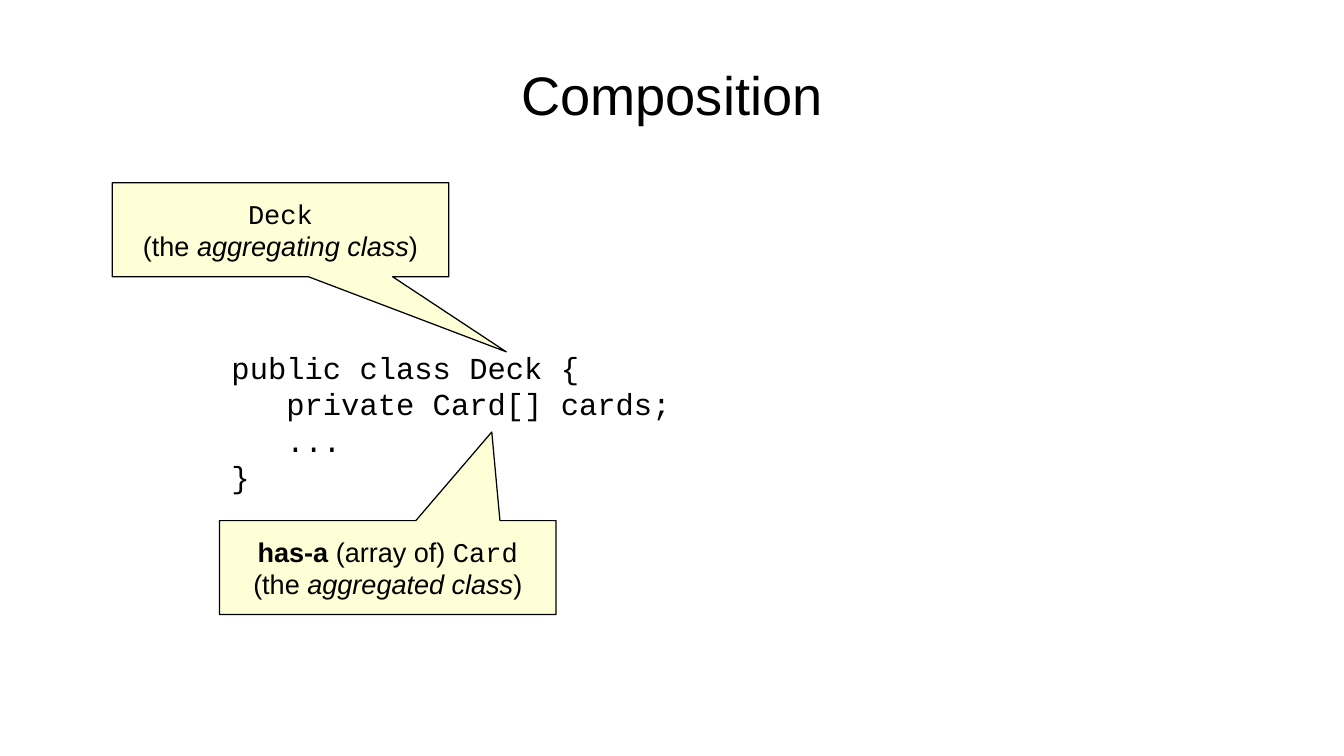
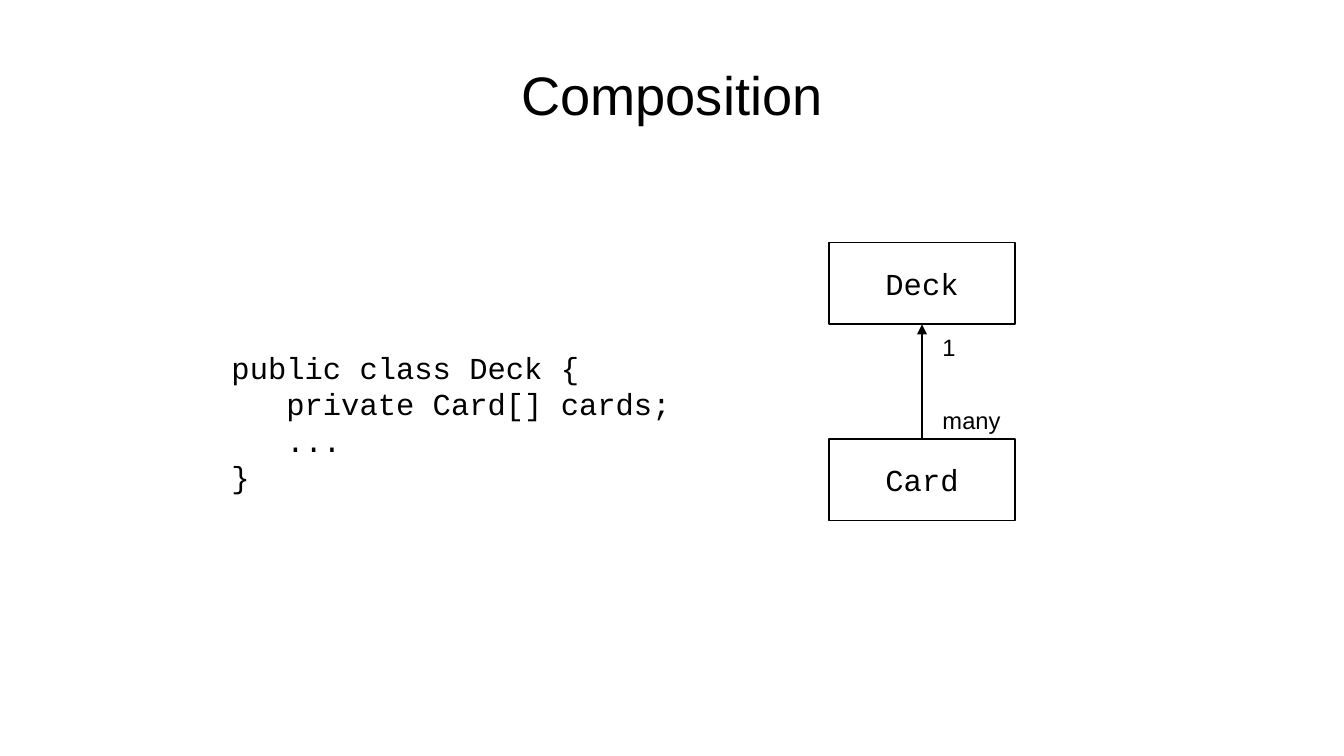
from dataclasses import dataclass

from lxml.etree import SubElement
from pptx import Presentation
from pptx.dml.color import RGBColor
from pptx.enum.shapes import MSO_CONNECTOR, MSO_SHAPE
from pptx.enum.text import MSO_ANCHOR, PP_ALIGN
from pptx.oxml.ns import qn
from pptx.util import Inches, Pt


@dataclass(frozen=True)
class Theme:
    ink: RGBColor = RGBColor(0, 0, 0)
    paper: RGBColor = RGBColor(255, 255, 255)
    note: RGBColor = RGBColor(0xFF, 0xFF, 0xD7)
    sans: str = "Arial"
    mono: str = "Courier New"
    title_size: int = 32
    code_size: int = 18
    note_size: int = 16
    label_size: int = 14
    hairline: int = 0
    outline: int = 1


THEME = Theme()
WIDTH, HEIGHT = 11.02, 6.2

# Content: a run is (text, style), a code line is (indent level, text)
TITLE = "Composition"
CODE = [
    (0, "public class Deck {"),
    (1, "private Card[] cards;"),
    (1, "..."),
    (0, "}"),
]
CALLOUTS = [
    {"at": (1.8, 4.27), "tip": (0.309, -1.444), "lines": [
        [("has-a ", "bold"), ("(array of) ", ""), ("Card", "code")],
        [("(the ", ""), ("aggregated class", "italic"), (")", "")],
    ]},
    {"at": (0.92, 1.5), "tip": (0.671, 1.3), "lines": [
        [("Deck", "code")],
        [("(the ", ""), ("aggregating class", "italic"), (")", "")],
    ]},
]
CLASSES = ["Deck", "Card"]
MULTIPLICITIES = ["1", "many"]

# Layout in inches
TITLE_BOX = (0.55, 0.25, WIDTH - 2 * 0.55, 1.04)
CODE_BOX = (1.8, 2.81, 4, 1.52)
CODE_INDENT = 0.45
CALLOUT_SIZE = (2.76, 0.77)
CLASS_LEFT, CLASS_TOP, CLASS_STEP = 6.8, 1.99, 1.61
CLASS_SIZE = (1.52, 0.67)
LABEL_LEFT, LABEL_TOP, LABEL_STEP = 7.63, 2.68, 0.6
LABEL_SIZE = (0.9, 0.32)


def inches(box):
    return [Inches(length) for length in box]


def prepare_frame(shape, anchor, margins):
    frame = shape.text_frame
    frame.word_wrap = True
    frame.vertical_anchor = anchor
    frame.margin_left = frame.margin_right = Inches(margins[0])
    frame.margin_top = frame.margin_bottom = Inches(margins[1])
    return frame


def add_lines(frame, lines, size, face, align=PP_ALIGN.LEFT):
    """Write one paragraph per list of runs and return the paragraphs."""
    for number, runs in enumerate(lines):
        line = frame.add_paragraph() if number else frame.paragraphs[0]
        line.alignment = align
        line.font.size = Pt(size)
        line.font.name = face
        line.font.color.rgb = THEME.ink
        for words, style in runs:
            run = line.add_run()
            run.text = words
            if style == "bold":
                run.font.bold = True
            elif style == "italic":
                run.font.italic = True
            elif style == "code":
                run.font.name = THEME.mono
    return frame.paragraphs


def add_text(slide, box, lines, size, face, align=PP_ALIGN.LEFT,
             anchor=MSO_ANCHOR.TOP, margins=(0.1, 0.05)):
    text = slide.shapes.add_textbox(*inches(box))
    frame = prepare_frame(text, anchor, margins)
    return add_lines(frame, lines, size, face, align)


def add_box(slide, kind, box, fill, line_width, lines, size, face):
    shape = slide.shapes.add_shape(kind, *inches(box))
    shape.shadow.inherit = False
    shape.fill.solid()
    shape.fill.fore_color.rgb = fill
    shape.line.color.rgb = THEME.ink
    shape.line.width = Pt(line_width)
    frame = prepare_frame(shape, MSO_ANCHOR.MIDDLE, (0.1, 0.05))
    add_lines(frame, lines, size, face, PP_ALIGN.CENTER)
    return shape


def add_arrow(slide, source, target):
    """Join the top of source to the bottom of target."""
    arrow = slide.shapes.add_connector(MSO_CONNECTOR.STRAIGHT, 0, 0, 0, 0)
    arrow.begin_connect(source, 0)
    arrow.end_connect(target, 2)
    arrow.line.color.rgb = THEME.ink
    arrow.line.width = Pt(THEME.outline)
    SubElement(arrow.line._get_or_add_ln(), qn("a:tailEnd"), type="triangle")
    SubElement(arrow._element.spPr, qn("a:effectLst"))


def add_code_slide(deck):
    """Start a slide with the shared title and code listing."""
    slide = deck.slides.add_slide(deck.slide_layouts[6])
    add_text(slide, TITLE_BOX, [[(TITLE, "")]], THEME.title_size, THEME.sans,
             PP_ALIGN.CENTER, MSO_ANCHOR.MIDDLE, (0, 0))
    code_lines = add_text(slide, CODE_BOX, [[(words, "")] for _, words in CODE],
                          THEME.code_size, THEME.mono)
    for line, (level, _) in zip(code_lines, CODE):
        line._p.get_or_add_pPr().set("marL", str(Inches(level * CODE_INDENT)))
    return slide


def add_callouts(slide):
    for note in CALLOUTS:
        callout = add_box(slide, MSO_SHAPE.RECTANGULAR_CALLOUT,
                          note["at"] + CALLOUT_SIZE, THEME.note, THEME.hairline,
                          note["lines"], THEME.note_size, THEME.sans)
        for index, offset in enumerate(note["tip"]):
            callout.adjustments[index] = offset


def add_class_diagram(slide):
    whole, part = [
        add_box(slide, MSO_SHAPE.RECTANGLE,
                (CLASS_LEFT, CLASS_TOP + row * CLASS_STEP) + CLASS_SIZE,
                THEME.paper, THEME.outline, [[(name, "")]],
                THEME.code_size, THEME.mono)
        for row, name in enumerate(CLASSES)
    ]
    add_arrow(slide, part, whole)
    for row, count in enumerate(MULTIPLICITIES):
        add_text(slide, (LABEL_LEFT, LABEL_TOP + row * LABEL_STEP) + LABEL_SIZE,
                 [[(count, "")]], THEME.label_size, THEME.sans)


def main():
    deck = Presentation()
    deck.slide_width, deck.slide_height = Inches(WIDTH), Inches(HEIGHT)
    for add_details in (add_callouts, add_class_diagram):
        add_details(add_code_slide(deck))
    deck.save("out.pptx")


if __name__ == "__main__":
    main()
